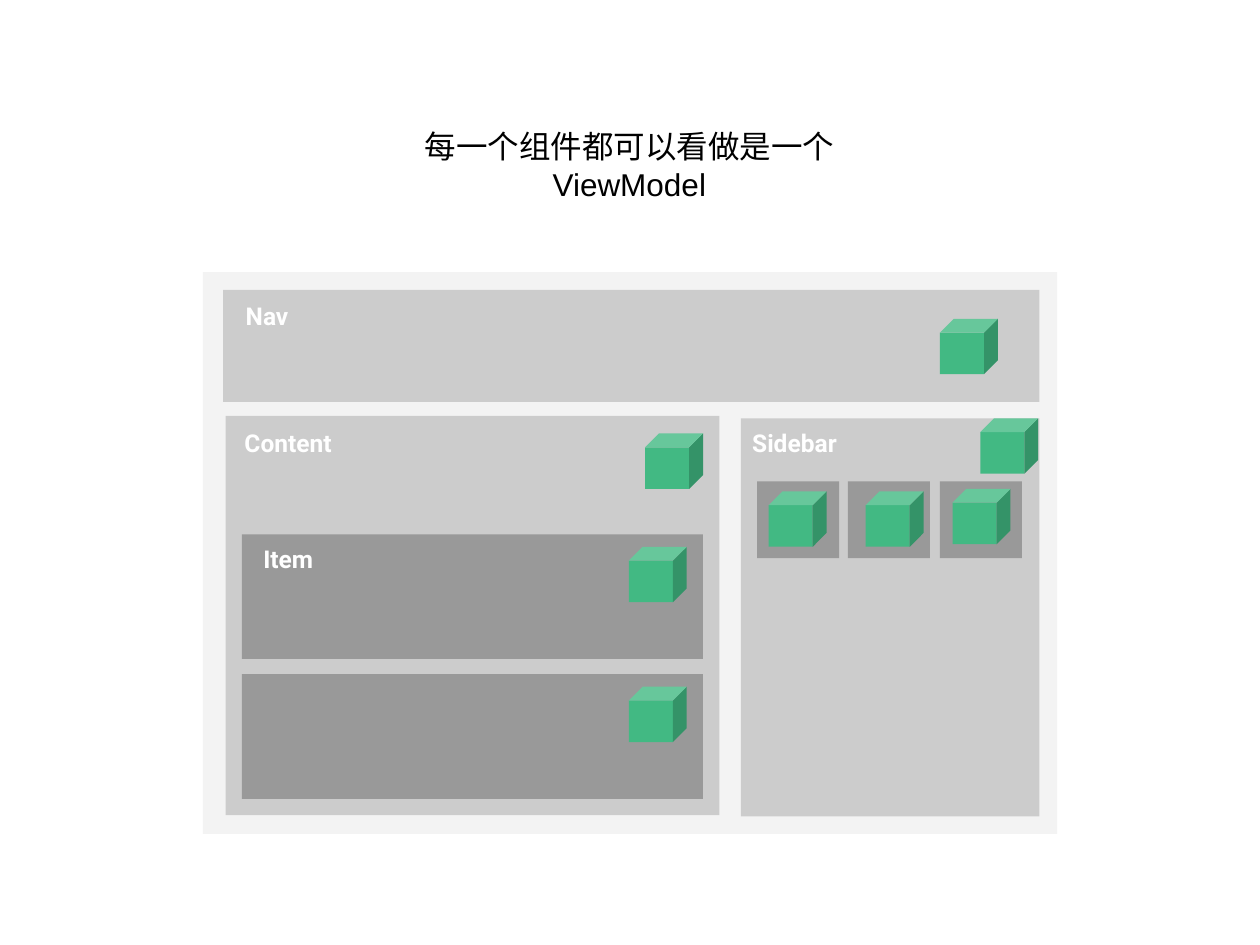
import dataclasses

import pptx
import pptx.dml.color
import pptx.enum.shapes
import pptx.enum.text
import pptx.oxml.ns
import pptx.util
from lxml import etree

Inches = pptx.util.Inches
Pt = pptx.util.Pt


@dataclasses.dataclass(frozen=True)
class Theme:
    frame: str = "F3F3F3"
    panel: str = "CCCCCC"
    item: str = "999999"
    cube_front: str = "42B983"
    cube_side: str = "349368"
    cube_top: str = "67C79B"
    title_text: str = "000000"
    label_text: str = "FFFFFF"
    title_size: int = 18
    label_size: int = 14
    title_font: str = "Arial"
    label_font: str = "Roboto"
    chinese_font: str = "Noto Sans CJK JP"
    simplified_font: str = "Noto Sans CJK SC"


class ComponentSlide:
    def __init__(self, deck, theme):
        self.theme = theme
        self.slide = deck.slides.add_slide(deck.slide_layouts[6])

    def paint(self, shape, color):
        shape.shadow.inherit = False
        shape.fill.solid()
        shape.fill.fore_color.rgb = pptx.dml.color.RGBColor.from_string(color)
        shape.line.fill.background()

    def panel(self, left, top, width, height, color):
        shape = self.slide.shapes.add_shape(
            pptx.enum.shapes.MSO_SHAPE.RECTANGLE,
            Inches(left), Inches(top), Inches(width), Inches(height))
        self.paint(shape, color)

    def face(self, points, color):
        corners = [(Inches(x), Inches(y)) for x, y in points]
        builder = self.slide.shapes.build_freeform(*corners[0])
        builder.add_line_segments(corners[1:], close=True)
        self.paint(builder.convert_to_shape(), color)

    def cube(self, left, top, width=0.35, height=0.33, depth=0.11):
        front_top, bottom = top + depth, top + depth + height
        right = left + width
        self.panel(left, front_top, width, height, self.theme.cube_front)
        self.face([(right, bottom), (right, front_top), (right + depth, top),
                   (right + depth, bottom - depth)], self.theme.cube_side)
        self.face([(right, front_top), (left, front_top), (left + depth, top),
                   (right + depth, top)], self.theme.cube_top)

    def text_frame(self, left, top, width, height, inset_left, inset_top):
        box = self.slide.shapes.add_textbox(
            Inches(left), Inches(top), Inches(width), Inches(height))
        frame = box.text_frame
        frame.word_wrap = True
        frame.margin_left, frame.margin_top = Inches(inset_left), Inches(inset_top)
        frame.margin_right = frame.margin_bottom = 0
        return frame

    def style(self, para, font, size, color, bold=False):
        para.font.name = font
        para.font.size = Pt(size)
        para.font.bold = bold
        para.font.color.rgb = pptx.dml.color.RGBColor.from_string(color)

    def label(self, text, left, top, width, indent):
        para = self.text_frame(left, top, width, 0.26, indent, 0.01).paragraphs[0]
        para.text = text
        para.space_before = Pt(1)
        self.style(para, self.theme.label_font, self.theme.label_size,
                   self.theme.label_text, bold=True)

    def title(self, chinese_parts, latin):
        frame = self.text_frame(2.48, 0.81, 5.03, 0.82, 0, 0.2)
        first, second = frame.paragraphs[0], frame.add_paragraph()
        for text, font in chinese_parts:
            span = first.add_run()
            span.text = text
            span.font.name = font
            east_asian = etree.SubElement(
                span.font._element, pptx.oxml.ns.qn("a:ea"))
            east_asian.set("typeface", font)
        second.text = latin
        for para, space in ((first, 1), (second, 0.1)):
            para.alignment = pptx.enum.text.PP_ALIGN.CENTER
            para.space_before = Pt(space)
            self.style(para, self.theme.title_font, self.theme.title_size,
                       self.theme.title_text)


def main():
    deck = pptx.Presentation()
    deck.slide_width, deck.slide_height = Inches(10), Inches(7.5)
    theme = Theme()
    page = ComponentSlide(deck, theme)

    page.panel(1.61, 2.16, 6.78, 4.46, theme.frame)
    for area in ((1.77, 2.3, 6.48, 0.89),
                 (1.79, 3.3, 3.92, 3.17),
                 (5.88, 3.32, 2.37, 3.16)):
        page.panel(*area, theme.panel)
    for top in (4.24, 5.35):
        page.panel(1.92, top, 3.66, 0.99, theme.item)
    for left in (6.01, 6.73, 7.46):
        page.panel(left, 3.82, 0.65, 0.61, theme.item)

    page.title([("每一个", theme.chinese_font),
                ("组", theme.simplified_font),
                ("件都可以看做是一个", theme.chinese_font)], "ViewModel")
    page.label("Nav", 1.77, 2.38, 6.48, 0.18)
    page.label("Content", 1.79, 3.39, 3.92, 0.15)
    page.label("Item", 1.92, 4.31, 3.66, 0.17)
    page.label("Sidebar", 5.88, 3.39, 2.37, 0.09)

    for left, top in ((7.46, 2.53), (5.12, 3.44), (4.99, 4.34), (4.99, 5.45),
                      (7.78, 3.32), (6.1, 3.9), (6.87, 3.9), (7.56, 3.88)):
        page.cube(left, top)

    deck.save("out.pptx")


if __name__ == "__main__":
    main()
